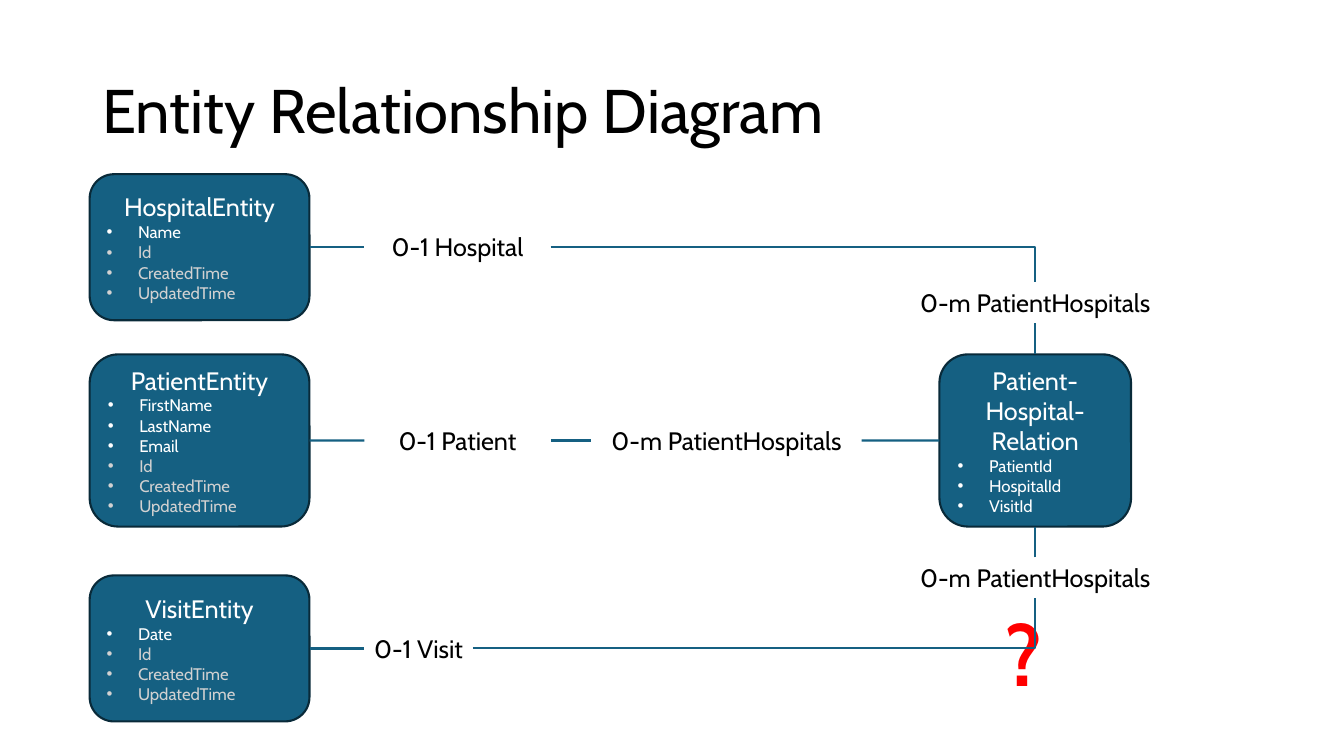
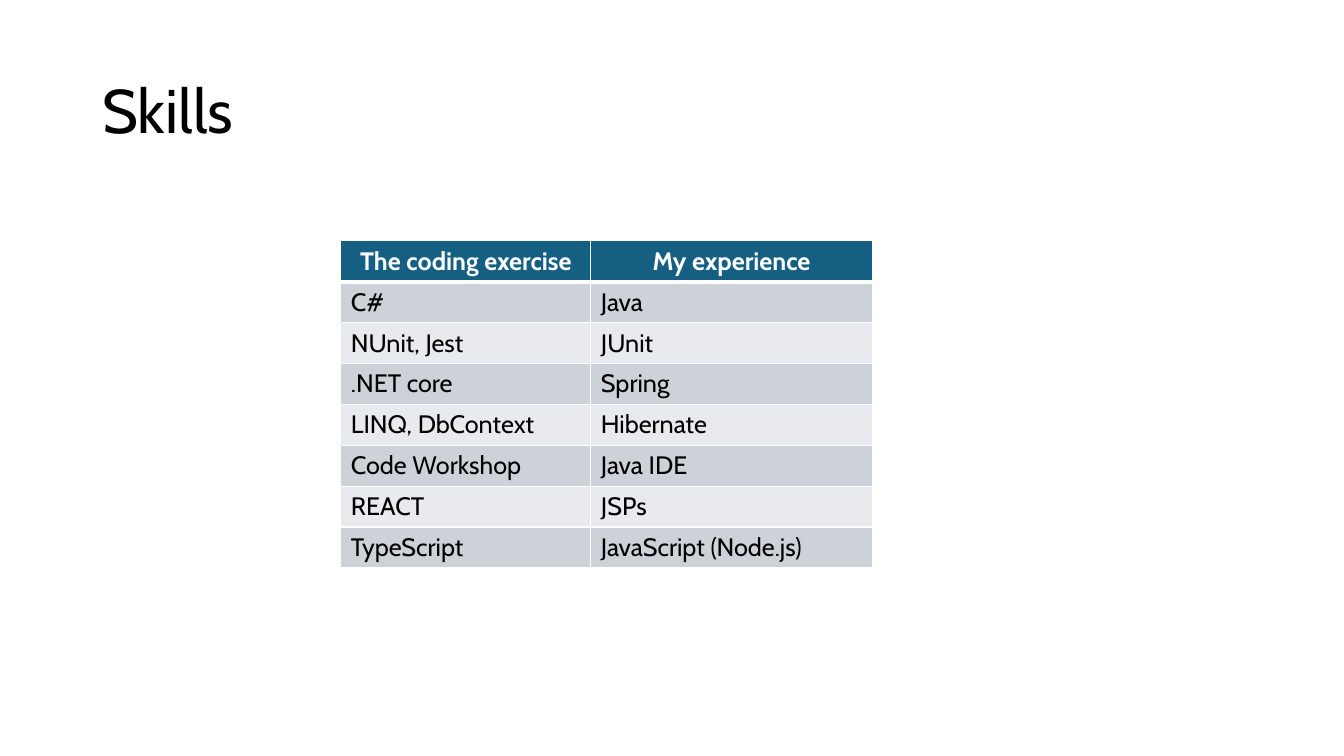
from dataclasses import dataclass
from itertools import product
from typing import Any

from lxml.etree import SubElement
from pptx import Presentation
from pptx.dml.color import RGBColor as Rgb
from pptx.enum.shapes import MSO_CONNECTOR as Link, MSO_SHAPE as Form
from pptx.enum.text import MSO_ANCHOR as Anchor, PP_ALIGN as Align
from pptx.oxml.ns import qn
from pptx.util import Cm, Pt

HUES = {
    "blue": "156082",
    "edge": "092A39",
    "white": "FFFFFF",
    "black": "000000",
    "grey": "D1D1D1",
    "red": "FF0000",
    "dark": "CCD2D8",
    "light": "E8EAED",
}
FONT = "Cabin"
BASE = ("Id", "CreatedTime", "UpdatedTime")
TOP, LEFT, BOTTOM, RIGHT = range(4)
ROWS = [
    ("The coding exercise", "My experience"),
    ("C#", "Java"),
    ("NUnit, Jest", "JUnit"),
    (".NET core", "Spring"),
    ("LINQ, DbContext", "Hibernate"),
    ("Code Workshop", "Java IDE"),
    ("REACT", "JSPs"),
    ("TypeScript", "JavaScript (Node.js)"),
]


@dataclass
class Box:
    name: str
    x: float
    y: float
    wide: float
    high: float
    own: tuple[str, ...]
    base: tuple[str, ...] = BASE


@dataclass
class Label:
    text: str
    x: float
    y: float
    wide: float
    high: float = 1.03
    size: int = 18
    hue: str = "black"
    bold: bool = False


@dataclass
class Wire:
    start: str
    out: int
    end: str
    into: int
    bent: bool = False


MANY = "0-m PatientHospitals"
MID = 26.09
ROW_Y = {"hospital": 6.23, "patient": 11.1, "visit": 16.34}

BOXES = {
    "hospital": Box("HospitalEntity", 5.03, ROW_Y["hospital"], 5.54, 3.68, ("Name",)),
    "patient": Box("PatientEntity", 5.03, ROW_Y["patient"], 5.54, 4.34,
                   ("FirstName", "LastName", "Email")),
    "relation": Box("Patient-Hospital-Relation", MID, ROW_Y["patient"], 4.83, 4.34,
                    ("PatientId", "HospitalId", "VisitId"), ()),
    "visit": Box("VisitEntity", 5.03, ROW_Y["visit"], 5.54, 3.68, ("Date",)),
}
LABELS = {
    "one hospital": Label("0-1 Hospital", 11.53, ROW_Y["hospital"], 4.7),
    "one patient": Label("0-1 Patient", 11.53, ROW_Y["patient"], 4.7),
    "one visit": Label("0-1 Visit", 10.55, ROW_Y["visit"], 2.74),
    "top many": Label(MANY, MID, 7.63, 6.81),
    "mid many": Label(MANY, 18.31, ROW_Y["patient"], 6.81),
    "low many": Label(MANY, MID, 14.56, 6.81),
    "query": Label("?", 25.66, 16.47, 1.12, 2.82, 60, "red", True),
}
WIRES = [
    Wire("hospital", RIGHT, "one hospital", LEFT),
    Wire("one hospital", RIGHT, "top many", TOP, True),
    Wire("top many", BOTTOM, "relation", TOP),
    Wire("patient", RIGHT, "one patient", LEFT),
    Wire("one patient", RIGHT, "mid many", LEFT),
    Wire("mid many", RIGHT, "relation", LEFT),
    Wire("visit", RIGHT, "one visit", LEFT),
    Wire("one visit", RIGHT, "low many", BOTTOM, True),
    Wire("low many", TOP, "relation", BOTTOM),
]


def hue(name: str) -> Rgb:
    return Rgb.from_string(HUES[name])


def style(para: Any, size: int, tone: str, bold: bool = False) -> None:
    font = para.font
    font.name, font.size, font.bold = FONT, Pt(size), bold
    font.color.rgb = hue(tone)


def bullet(para: Any) -> None:
    props = para._p.get_or_add_pPr()
    props.set("marL", str(Cm(0.79)))
    props.set("indent", str(Cm(-0.79)))
    SubElement(props, qn("a:buFont"), typeface="Arial")
    SubElement(props, qn("a:buChar"), char="•")


def place(item: Box | Label) -> tuple[Cm, Cm, Cm, Cm]:
    return (Cm(item.x - item.wide / 2), Cm(item.y - item.high / 2),
            Cm(item.wide), Cm(item.high))


def add_page(deck: Any, title: str) -> Any:
    page = deck.slides.add_slide(deck.slide_layouts[6])
    frame = page.shapes.add_textbox(Cm(2.33), Cm(1.01), Cm(29.21), Cm(3.68)).text_frame
    frame.word_wrap = True
    frame.vertical_anchor = Anchor.MIDDLE
    para = frame.paragraphs[0]
    para.text, para.line_spacing = title, 0.9
    style(para, 44, "black")
    return page


def add_box(page: Any, box: Box) -> Any:
    shape = page.shapes.add_shape(Form.ROUNDED_RECTANGLE, *place(box))
    shape.shadow.inherit = False
    shape.fill.solid()
    shape.fill.fore_color.rgb = hue("blue")
    shape.line.color.rgb = hue("edge")
    shape.line.width = Pt(1.5)
    frame = shape.text_frame
    frame.word_wrap = True
    frame.vertical_anchor = Anchor.MIDDLE
    head = frame.paragraphs[0]
    head.text, head.alignment = box.name, Align.CENTER
    style(head, 18, "white")
    for field in box.own + box.base:
        para = frame.add_paragraph()
        para.text, para.alignment = field, Align.LEFT
        bullet(para)
        style(para, 12, "white" if field in box.own else "grey")
    return shape


def add_label(page: Any, label: Label) -> Any:
    shape = page.shapes.add_textbox(*place(label))
    para = shape.text_frame.paragraphs[0]
    para.text, para.alignment = label.text, Align.CENTER
    style(para, label.size, label.hue, label.bold)
    return shape


def add_wire(page: Any, wire: Wire, nodes: dict[str, Any]) -> None:
    kind = Link.ELBOW if wire.bent else Link.STRAIGHT
    line = page.shapes.add_connector(kind, Cm(0), Cm(0), Cm(0), Cm(0))
    line.begin_connect(nodes[wire.start], wire.out)
    line.end_connect(nodes[wire.end], wire.into)
    line.line.color.rgb = hue("blue")
    line.line.width = Pt(1.5)
    props = line._element.spPr
    if wire.bent:
        props.find(qn("a:prstGeom")).set("prst", "bentConnector2")
    SubElement(props, qn("a:effectLst"))


def edge(cell: Any, side: str, width: float) -> None:
    props = cell._tc.get_or_add_tcPr()
    line = SubElement(props, qn(f"a:ln{side}"), w=str(Pt(width)))
    fill = SubElement(line, qn("a:solidFill"))
    SubElement(fill, qn("a:srgbClr"), val=HUES["white"])


def add_grid(page: Any) -> None:
    wide, high = (6.3, 7.09), 1.03
    grid = page.shapes.add_table(len(ROWS), len(wide), Cm(8.59), Cm(6.07),
                                 Cm(sum(wide)), Cm(high * len(ROWS))).table
    for col, size in zip(grid.columns, wide):
        col.width = Cm(size)
    for row, col in product(range(len(ROWS)), range(len(wide))):
        cell, head = grid.cell(row, col), row == 0
        for side in "LRTB":
            thick = (head and side == "B") or (row == 1 and side == "T")
            edge(cell, side, 3 if thick else 1)
        cell.fill.solid()
        cell.fill.fore_color.rgb = hue("blue" if head else "dark" if row % 2 else "light")
        para = cell.text_frame.paragraphs[0]
        para.text = ROWS[row][col]
        para.alignment = Align.CENTER if head else Align.LEFT
        style(para, 18, "white" if head else "black", head)


def main() -> None:
    deck = Presentation()
    deck.slide_width, deck.slide_height = Cm(33.87), Cm(19.05)
    page = add_page(deck, "Entity Relationship Diagram")
    nodes = {key: add_box(page, box) for key, box in BOXES.items()}
    nodes |= {key: add_label(page, label) for key, label in LABELS.items()}
    for wire in WIRES:
        add_wire(page, wire, nodes)
    add_grid(add_page(deck, "Skills"))
    deck.save("out.pptx")


if __name__ == "__main__":
    main()
